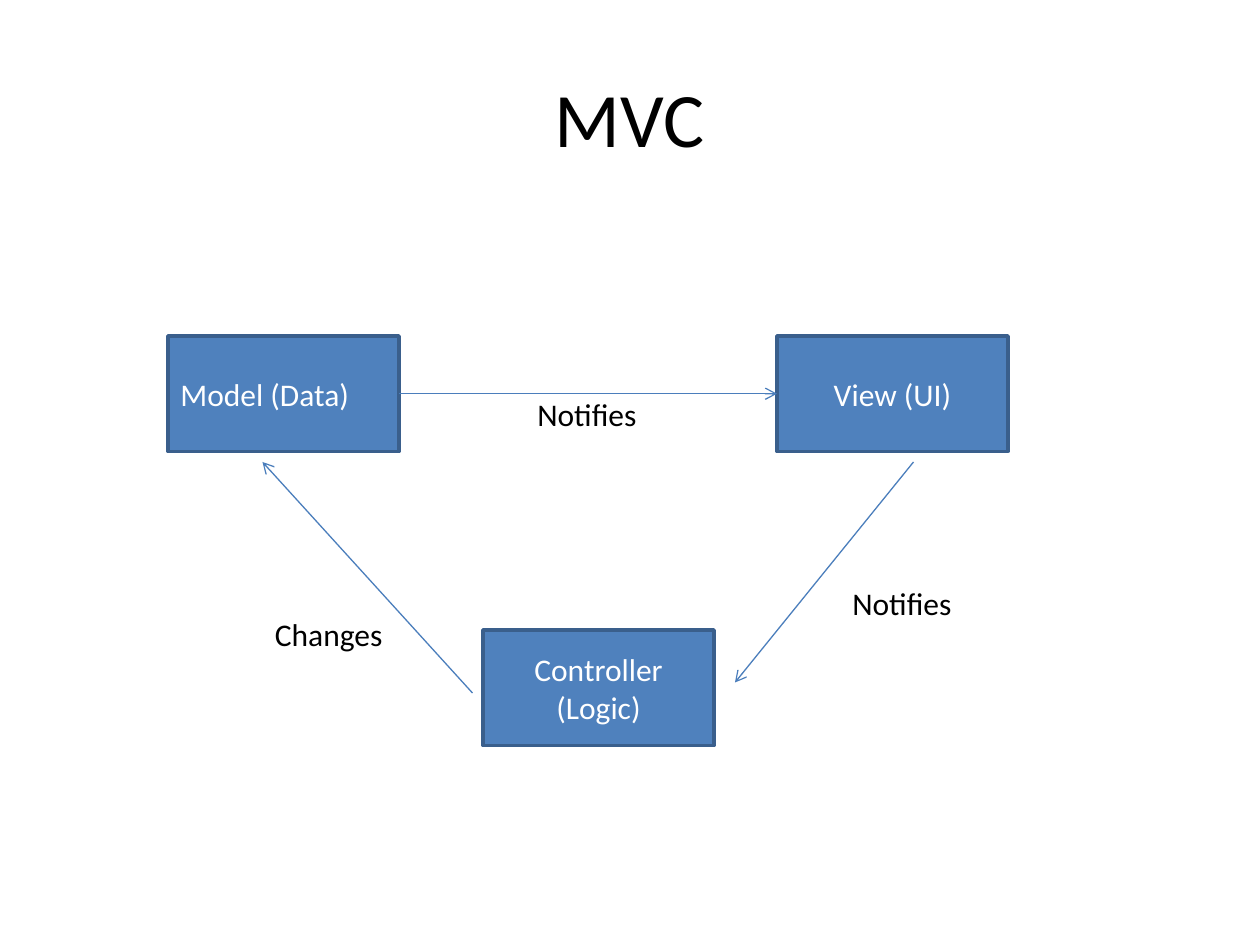
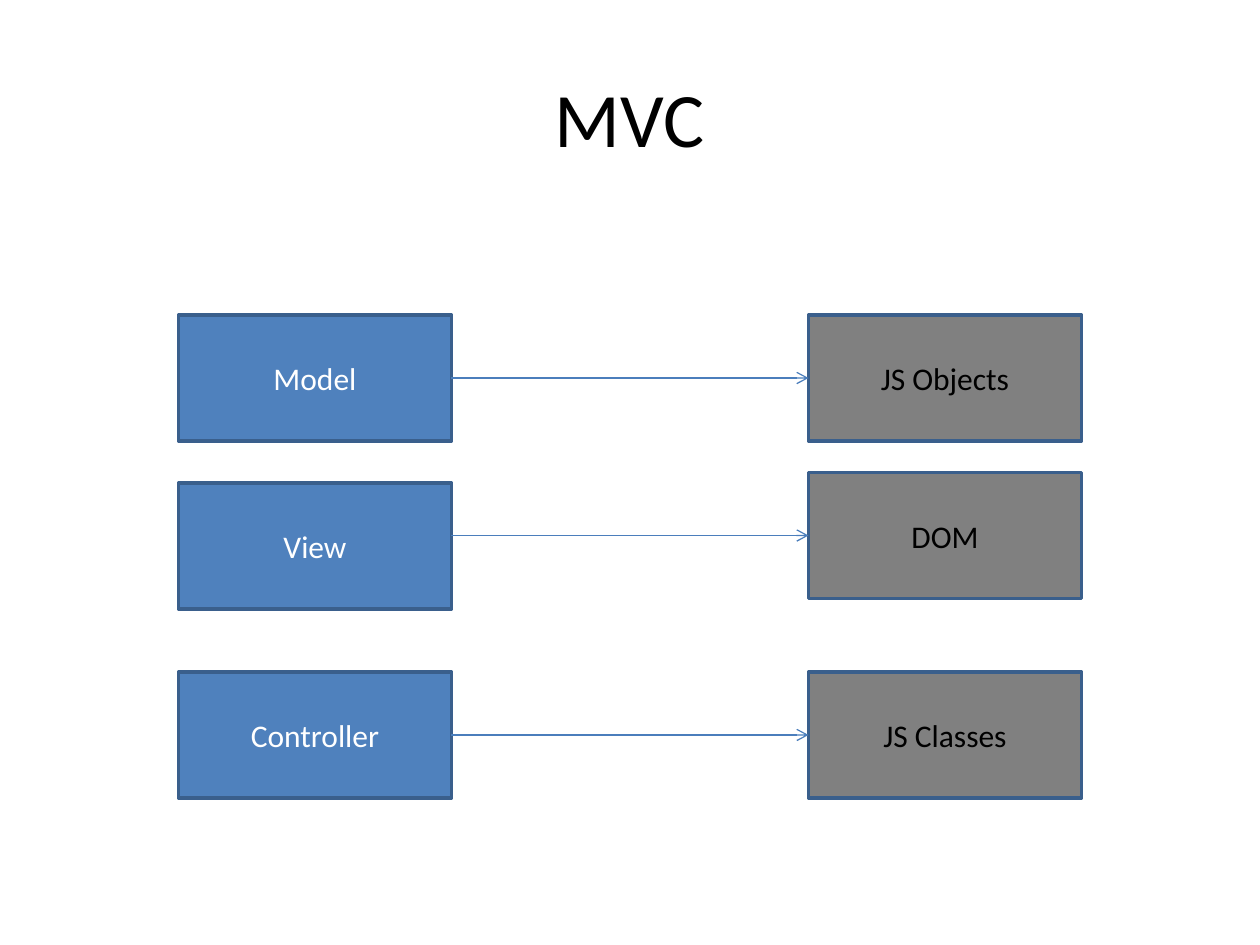
from dataclasses import dataclass

import lxml.etree
import pptx
import pptx.dml.color
import pptx.enum.shapes
import pptx.enum.text
import pptx.oxml.ns
import pptx.util

EMU_PER_PX = 7620  # 120 px to the inch
TITLE_ONLY_LAYOUT = 5
ALIGN = pptx.enum.text.PP_ALIGN
MIDDLE = pptx.enum.text.MSO_ANCHOR.MIDDLE


def px(length):
    return pptx.util.Emu(length * EMU_PER_PX)


def rgb(value):
    return pptx.dml.color.RGBColor.from_string(value)


@dataclass(frozen=True)
class Theme:
    font: str = "Calibri"
    title_size: int = 44
    body_size: int = 18
    dark_text: str = "000000"
    light_text: str = "FFFFFF"
    concept_fill: str = "4F81BD"
    technology_fill: str = "808080"
    box_border: str = "3A5F8C"
    border_width: float = 2
    arrow: str = "4B7EBC"
    arrow_width: float = 0.75


class Deck:
    def __init__(self, theme):
        self.theme = theme
        self.presentation = pptx.Presentation()
        self.presentation.slide_width = px(1200)
        self.presentation.slide_height = px(900)
        self.slide = None

    def set_text(self, shape, text, size, color, alignment):
        shape.text_frame.text = text
        paragraph = shape.text_frame.paragraphs[0]
        paragraph.alignment = alignment
        paragraph.font.name = self.theme.font
        paragraph.font.size = pptx.util.Pt(size)
        paragraph.font.color.rgb = rgb(color)

    def add_slide(self, title_text):
        layout = self.presentation.slide_layouts[TITLE_ONLY_LAYOUT]
        self.slide = self.presentation.slides.add_slide(layout)
        title = self.slide.shapes.title
        title.left, title.top = px(60), px(36)
        title.width, title.height = px(1080), px(150)
        title.text_frame.vertical_anchor = MIDDLE
        self.set_text(title, title_text, self.theme.title_size,
                      self.theme.dark_text, ALIGN.CENTER)

    def box(self, text, left, top, width, height, fill, color,
            alignment=ALIGN.CENTER):
        shape = self.slide.shapes.add_shape(
            pptx.enum.shapes.MSO_SHAPE.RECTANGLE,
            px(left), px(top), px(width), px(height))
        shape.shadow.inherit = False
        shape.fill.solid()
        shape.fill.fore_color.rgb = rgb(fill)
        shape.line.color.rgb = rgb(self.theme.box_border)
        shape.line.width = pptx.util.Pt(self.theme.border_width)
        shape.text_frame.word_wrap = True
        shape.text_frame.vertical_anchor = MIDDLE
        self.set_text(shape, text, self.theme.body_size, color, alignment)

    def label(self, text, left, top, width):
        shape = self.slide.shapes.add_textbox(
            px(left), px(top), px(width), px(48))
        shape.text_frame.word_wrap = False
        shape.text_frame.auto_size = (
            pptx.enum.text.MSO_AUTO_SIZE.SHAPE_TO_FIT_TEXT)
        self.set_text(shape, text, self.theme.body_size,
                      self.theme.dark_text, ALIGN.LEFT)

    def arrow(self, start, end):
        connector = self.slide.shapes.add_connector(
            pptx.enum.shapes.MSO_CONNECTOR.STRAIGHT,
            px(start[0]), px(start[1]), px(end[0]), px(end[1]))
        connector.line.color.rgb = rgb(self.theme.arrow)
        connector.line.width = pptx.util.Pt(self.theme.arrow_width)
        # Open arrowhead at the end, and no theme shadow
        qn = pptx.oxml.ns.qn
        properties = connector.element.spPr
        lxml.etree.SubElement(
            properties.find(qn("a:ln")), qn("a:tailEnd"), type="arrow")
        lxml.etree.SubElement(properties, qn("a:effectLst"))


def build_cycle_slide(deck):
    theme = deck.theme
    deck.add_slide("MVC")

    # Three roles
    width, height = 220, 110
    model_left, view_left, upper_top = 160, 740, 320
    for text, left, top, alignment in (
        ("Model (Data)", model_left, upper_top, ALIGN.LEFT),
        ("Controller (Logic)", 460, 600, ALIGN.CENTER),
        ("View (UI)", view_left, upper_top, ALIGN.CENTER),
    ):
        deck.box(text, left, top, width, height,
                 theme.concept_fill, theme.light_text, alignment)

    # Messages between the roles
    upper_middle = upper_top + height // 2
    deck.arrow((model_left + width, upper_middle), (view_left, upper_middle))
    deck.arrow((870, 440), (700, 650))
    deck.arrow((450, 660), (250, 440))
    deck.label("Notifies", 500, 370, 120)
    deck.label("Notifies", 800, 550, 120)
    deck.label("Changes", 250, 580, 128)


def build_mapping_slide(deck):
    theme = deck.theme
    deck.add_slide("MVC")

    # Each role points to the technology that fills it
    width, height = 260, 120
    concept_left, technology_left = 170, 770
    for concept, concept_top, technology, technology_top in (
        ("Model", 300, "JS Objects", 300),
        ("View", 460, "DOM", 450),
        ("Controller", 640, "JS Classes", 640),
    ):
        deck.box(concept, concept_left, concept_top, width, height,
                 theme.concept_fill, theme.light_text)
        deck.box(technology, technology_left, technology_top, width, height,
                 theme.technology_fill, theme.dark_text)
        middle = technology_top + height // 2
        deck.arrow((concept_left + width, middle), (technology_left, middle))


def main():
    deck = Deck(Theme())
    build_cycle_slide(deck)
    build_mapping_slide(deck)
    deck.presentation.save("out.pptx")


if __name__ == "__main__":
    main()
